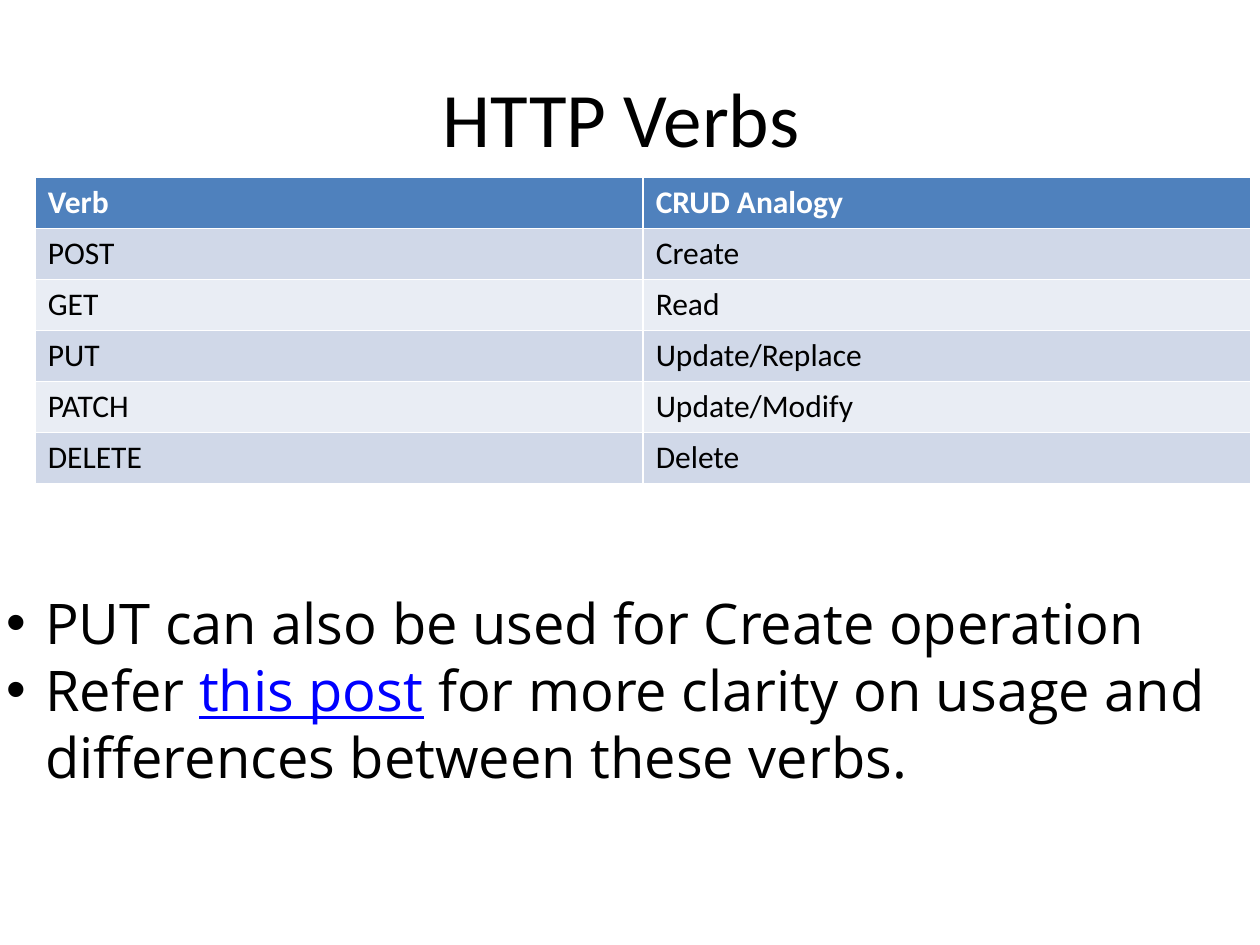
from pptx import Presentation
from pptx.dml.color import RGBColor
from pptx.enum.text import MSO_ANCHOR, PP_ALIGN
from pptx.util import Inches, Pt
from lxml.etree import SubElement
from pptx.oxml.ns import qn

BLACK = RGBColor(0x00, 0x00, 0x00)
WHITE = RGBColor(0xFF, 0xFF, 0xFF)
LINK_BLUE = RGBColor(0x00, 0x00, 0xFF)
HEADER_BLUE = RGBColor(0x4F, 0x81, 0xBD)
BANDS = [RGBColor(0xE9, 0xED, 0xF4), RGBColor(0xD0, 0xD8, 0xE8)]


def add_run(paragraph, text, font_name, size, color, bold=False, underline=False):
    run = paragraph.add_run()
    run.text = text
    run.font.name = font_name
    run.font.size = Pt(size)
    run.font.color.rgb = color
    run.font.bold = bold
    run.font.underline = underline


presentation = Presentation()
presentation.slide_width = Inches(10)
presentation.slide_height = Inches(7.5)
slide = presentation.slides.add_slide(presentation.slide_layouts[6])

title = slide.shapes.add_textbox(Inches(0.5), Inches(0.3), Inches(9), Inches(1.25))
title.text_frame.word_wrap = True
title.text_frame.vertical_anchor = MSO_ANCHOR.MIDDLE
paragraph = title.text_frame.paragraphs[0]
paragraph.alignment = PP_ALIGN.CENTER
add_run(paragraph, "HTTP Verbs\u00a0", "Calibri", 44, BLACK)

verbs = [
    ("Verb", "CRUD Analogy\u00a0"),
    ("POST\u00a0", "Create\u00a0"),
    ("GET\u00a0", "Read\u00a0"),
    ("PUT\u00a0", "Update/Replace\u00a0"),
    ("PATCH\u00a0", "Update/Modify\u00a0"),
    ("DELETE\u00a0", "Delete\u00a0"),
]
table = slide.shapes.add_table(
    len(verbs), 2, Inches(0.28), Inches(1.41), Inches(9.65), Inches(2.43)
).table
for row_index, row in enumerate(verbs):
    header = row_index == 0
    for column_index, text in enumerate(row):
        cell = table.cell(row_index, column_index)
        cell.fill.solid()
        cell.fill.fore_color.rgb = HEADER_BLUE if header else BANDS[row_index % 2]
        add_run(cell.text_frame.paragraphs[0], text, "Calibri", 18,
                WHITE if header else BLACK, bold=header)

notes = [
    [("PUT can also be used for Create operation\u00a0\u00a0", False)],
    [
        ("Refer\u00a0", False),
        ("this post", True),
        ("\u00a0for more clarity on usage and differences between these verbs.\u00a0", False),
    ],
]
body = slide.shapes.add_textbox(Inches(-0.05), Inches(4.04), Inches(10.09), Inches(2.86))
frame = body.text_frame
frame.word_wrap = True
frame.margin_top = Inches(0.63)
for index, pieces in enumerate(notes):
    paragraph = frame.paragraphs[0] if index == 0 else frame.add_paragraph()
    properties = paragraph._p.get_or_add_pPr()
    properties.set("marL", str(Inches(0.31)))
    properties.set("indent", str(Inches(-0.31)))
    SubElement(properties, qn("a:buFont")).set("typeface", "Arial")
    SubElement(properties, qn("a:buChar")).set("char", "\u2022")
    for text, linked in pieces:
        add_run(paragraph, text, "Open Sans", 32,
                LINK_BLUE if linked else BLACK, underline=linked)

presentation.save("out.pptx")
